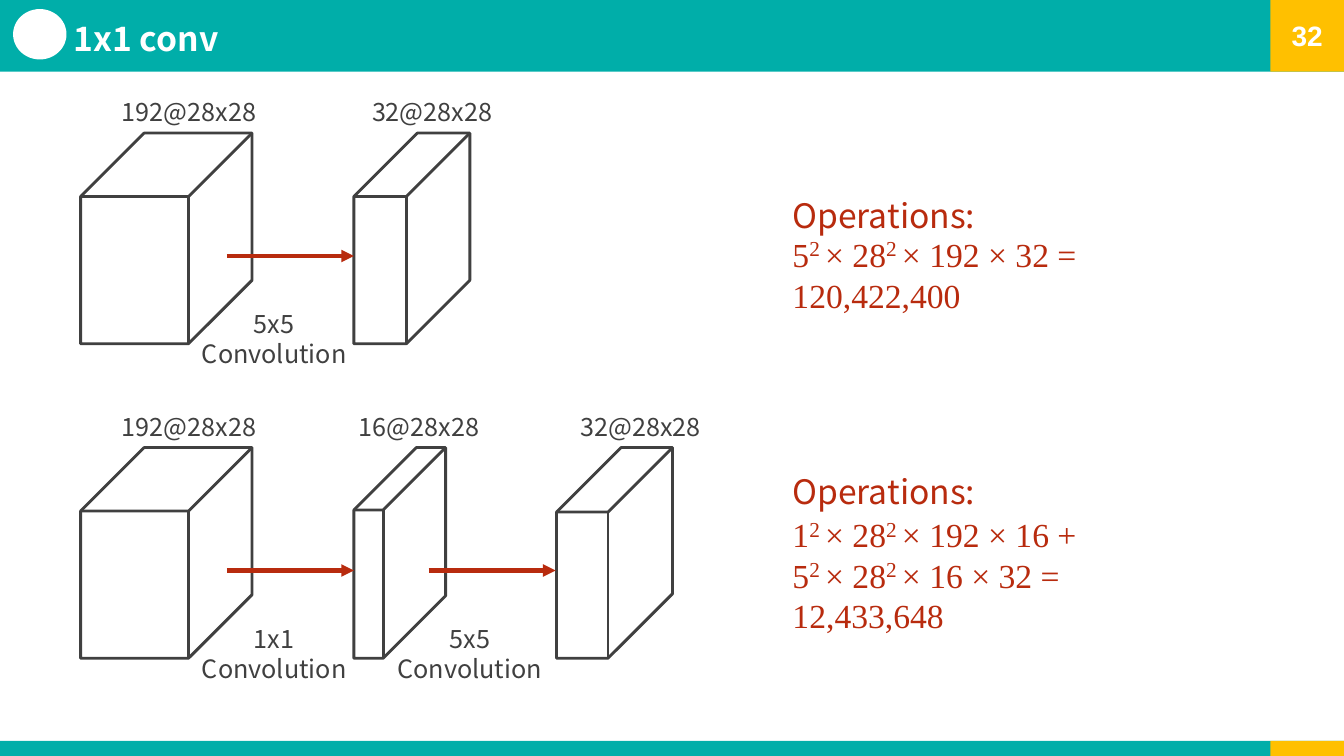
"""Builds the slide that compares the operation counts of 5x5 and 1x1 convolutions."""
from lxml import etree
from pptx import Presentation
from pptx.dml.color import RGBColor
from pptx.enum.shapes import MSO_CONNECTOR as Connector, MSO_SHAPE as Shape
from pptx.enum.text import MSO_ANCHOR as Anchor, PP_ALIGN as Align
from pptx.oxml.ns import qn
from pptx.util import Inches, Pt

TEAL, GOLD, WHITE, GREY, RED = "00AEA9", "FFC000", "FFFFFF", "404040", "B82B0E"
SANS, SERIF = "Noto Sans CJK SC", "Times New Roman"


def paint(color_format, value):
    color_format.rgb = RGBColor.from_string(value)


def add_text(left, top, width, height, text, size, color, align=Align.LEFT):
    box = slide.shapes.add_textbox(Inches(left), Inches(top), Inches(width), Inches(height))
    frame = box.text_frame
    frame.word_wrap = True
    frame.margin_left = frame.margin_right = frame.margin_bottom = 0
    frame.margin_top = Inches(0.02)
    frame.text = text
    first = frame.paragraphs[0]
    first.alignment = align
    for run in first.runs:
        run.font.name, run.font.size = SANS, Pt(size)
        paint(run.font.color, color)
    return frame


deck = Presentation()
deck.slide_width, deck.slide_height = Inches(13.33), Inches(7.5)
slide = deck.slides.add_slide(deck.slide_layouts[6])

bands = [
    (Shape.RECTANGLE, 0, 7.35, 13.33, 0.15, TEAL, ""),
    (Shape.RECTANGLE, 12.6, 7.35, 0.73, 0.15, GOLD, ""),
    (Shape.RECTANGLE, 0, 0, 13.33, 0.71, TEAL, ""),
    (Shape.RECTANGLE, 12.6, 0, 0.73, 0.71, GOLD, "32"),
    (Shape.OVAL, 0.13, 0.09, 0.53, 0.5, WHITE, ""),
]
for kind, left, top, width, height, color, number in bands:
    band = slide.shapes.add_shape(kind, Inches(left), Inches(top), Inches(width), Inches(height))
    band.shadow.inherit = False
    band.fill.solid()
    paint(band.fill.fore_color, color)
    band.line.fill.background()
    if number:
        band.text_frame.text = number
        band.text_frame.vertical_anchor = Anchor.MIDDLE
        page = band.text_frame.paragraphs[0]
        page.alignment = Align.CENTER
        page.font.name, page.font.size, page.font.bold = "Arial", Pt(20), True
        paint(page.font.color, WHITE)

title = add_text(0.73, 0.08, 9.55, 0.5, "1x1 conv", 24, WHITE)
title.margin_top = 0
title.vertical_anchor = Anchor.BOTTOM
title.paragraphs[0].line_spacing = 0.9
title.paragraphs[0].runs[0].font.bold = True

DIRECT_TOP, REDUCED_TOP = 1.32, 4.44
volumes = [
    (0.8, DIRECT_TOP, 1.07, 0.63, 1.21, "192@28x28"),
    (3.51, DIRECT_TOP, 0.52, 0.63, 3.69, "32@28x28"),
    (0.8, REDUCED_TOP, 1.07, 0.63, 1.21, "192@28x28"),
    (3.51, REDUCED_TOP, 0.29, 0.62, 3.56, "16@28x28"),
    (5.52, REDUCED_TOP, 0.51, 0.64, 5.76, "32@28x28"),
]
for left, top, front, depth, label_left, label in volumes:
    width = front + depth
    volume = slide.shapes.add_shape(Shape.CUBE, Inches(left), Inches(top), Inches(width), Inches(2.09))
    volume.adjustments[0] = depth / width
    volume.shadow.inherit = False
    volume.fill.background()
    volume.line.width = Pt(2.04)
    paint(volume.line.color, GREY)
    add_text(label_left, top - 0.38, 1.44, 0.33, label, 18, GREY)

convolutions = [
    (2.25, DIRECT_TOP, 1.97, "5x5"),
    (2.25, REDUCED_TOP, 1.97, "1x1"),
    (4.25, REDUCED_TOP, 3.91, "5x5"),
]
for left, top, label_left, kernel in convolutions:
    y = Inches(top + 1.22)
    arrow = slide.shapes.add_connector(Connector.STRAIGHT, Inches(left), y, Inches(left + 1.26), y)
    arrow.line.width = Pt(3)
    paint(arrow.line.color, RED)
    etree.SubElement(arrow.line._get_or_add_ln(), qn("a:tailEnd"), type="triangle")
    etree.SubElement(arrow._element.spPr, qn("a:effectLst"))
    add_text(label_left, top + 1.72, 1.5, 0.63, f"{kernel}\vConvolution", 18, GREY, Align.CENTER)

operations = [
    (1.91, 1.23, [("5|2 |× 28|2 |× 192 × 32 =", Pt(28.6)), ("120,422,400", Pt(28.6))]),
    (4.65, 1.63, [("1|2 |× 28|2 |× 192 × 16 +", 1.0), ("5|2 |× 28|2 |× 16 × 32 =", Pt(28.8)),
                  ("12,433,648", Pt(28.8))]),
]
for top, height, formula in operations:
    frame = add_text(7.82, top, 3.37, height, "Operations:", 24, RED)
    frame.margin_left = Inches(0.04)
    for terms, spacing in formula:
        line = frame.add_paragraph()
        line.line_spacing = spacing
        for position, term in enumerate(terms.split("|")):
            run = line.add_run()
            run.text = term
            run.font.name, run.font.size = SERIF, Pt(24)
            paint(run.font.color, RED)
            if position % 2:
                run.font.size = Pt(26.2)
                run.font._element.set("baseline", "29000")

deck.save("out.pptx")
